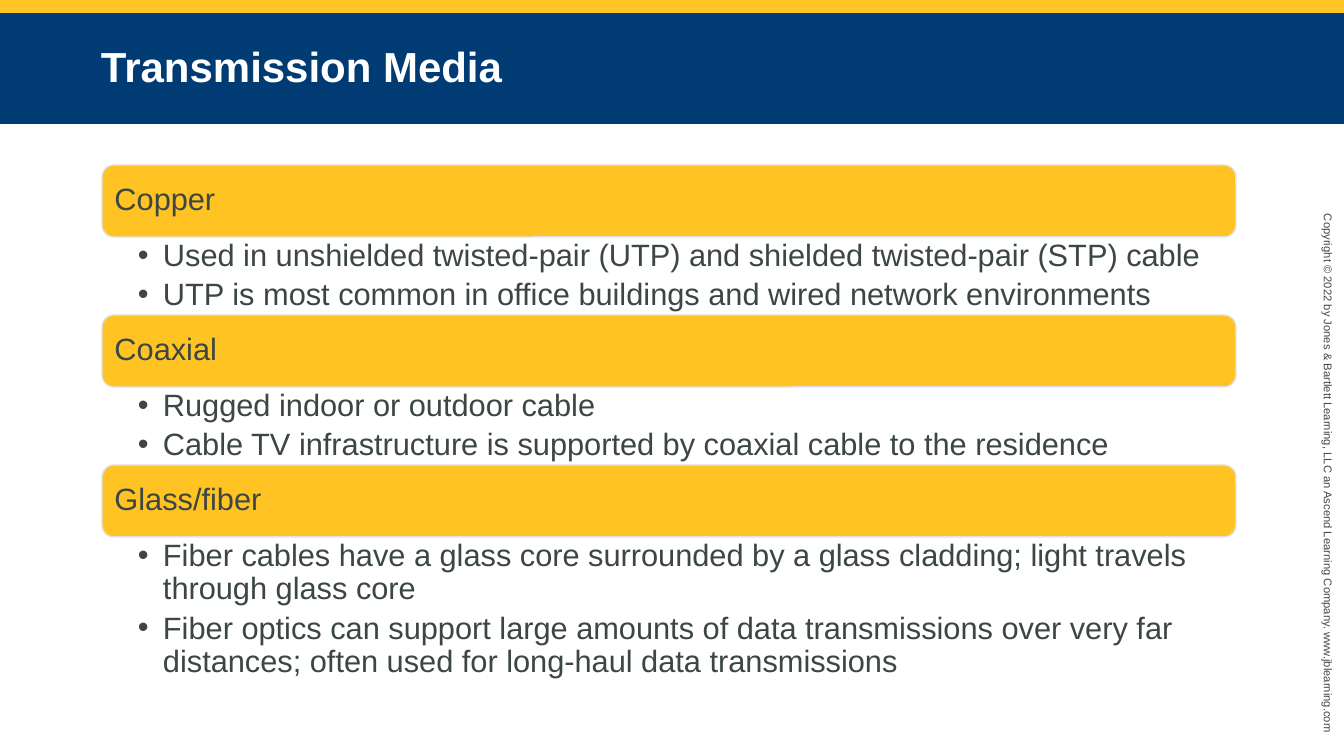
from lxml import etree
from pptx import Presentation
from pptx import util as u
from pptx.dml.color import RGBColor
from pptx.enum import shapes, text
from pptx.oxml.ns import qn

TITLE = "Transmission Media"
COPYRIGHT = ("Copyright © 2022 by Jones & Bartlett Learning, LLC an Ascend "
             "Learning Company. www.jblearning.com")
MEDIA = [
    ("Copper", 78, [
        "Used in unshielded twisted-pair (UTP) and shielded twisted-pair (STP) cable",
        "UTP is most common in office buildings and wired network environments",
    ]),
    ("Coaxial", 78, [
        "Rugged indoor or outdoor cable",
        "Cable TV infrastructure is supported by coaxial cable to the residence",
    ]),
    ("Glass/fiber", 144, [
        "Fiber cables have a glass core surrounded by a glass cladding; "
        "light travels through glass core",
        "Fiber optics can support large amounts of data transmissions over very far "
        "distances; often used for long-haul data transmissions",
    ]),
]

STRIPE_YELLOW = RGBColor(0xFF, 0xC4, 0x25)
BAR_YELLOW = RGBColor(0xFF, 0xC3, 0x24)
BAR_EDGE = RGBColor(0xE1, 0xE1, 0xE1)
NAVY = RGBColor(0x00, 0x3B, 0x74)
WHITE = RGBColor(0xFF, 0xFF, 0xFF)
GREY = RGBColor(0x3C, 0x47, 0x43)

WIDTH, HEIGHT = 1344, 756
STRIPE_HEIGHT, TITLE_HEIGHT = 13, 111
MEDIA_LEFT, MEDIA_TOP, MEDIA_WIDTH, BAR_HEIGHT = 102, 165, 1134, 72
BULLET_INDENT, BULLET_GAP = 25, 6


def px(length):
    return u.Emu(round(length * 914400 / 100.8))


def add_block(slide, kind, box, fill, edge=None):
    shape = slide.shapes.add_shape(kind, *map(px, box))
    shape.shadow.inherit = False
    shape.fill.solid()
    shape.fill.fore_color.rgb = fill
    if edge is None:
        shape.line.fill.background()
    else:
        shape.line.color.rgb = edge
        shape.line.width = u.Pt(1)
    return shape


def add_bullet(paragraph):
    properties = paragraph._p.get_or_add_pPr()
    properties.set("marL", str(px(BULLET_INDENT)))
    properties.set("indent", str(-px(BULLET_INDENT)))
    etree.SubElement(properties, qn("a:buFont")).set("typeface", "Arial")
    etree.SubElement(properties, qn("a:buChar")).set("char", "•")


def write(shape, lines, size, color, insets, spacing=1.0, bold=False,
          anchor=text.MSO_ANCHOR.MIDDLE, bullets=False):
    frame = shape.text_frame
    frame.word_wrap = True
    frame.vertical_anchor = anchor
    frame.margin_left, frame.margin_top, frame.margin_right, frame.margin_bottom = map(px, insets)
    frame.text = "\n".join(lines)
    for paragraph in frame.paragraphs:
        if bullets:
            add_bullet(paragraph)
            paragraph.space_after = px(BULLET_GAP)
        paragraph.alignment = text.PP_ALIGN.LEFT
        paragraph.line_spacing = spacing
        for run in paragraph.runs:
            run.font.name = "Arial"
            run.font.size = u.Pt(size)
            run.font.bold = bold
            run.font.color.rgb = color


def main():
    presentation = Presentation()
    presentation.slide_width, presentation.slide_height = px(WIDTH), px(HEIGHT)
    slide = presentation.slides.add_slide(presentation.slide_layouts[6])
    rectangle = shapes.MSO_SHAPE.RECTANGLE

    add_block(slide, rectangle, (0, 0, WIDTH, STRIPE_HEIGHT), STRIPE_YELLOW)
    copyright_line = slide.shapes.add_textbox(*map(px, (1052, 468, 552, 24)))
    copyright_line.rotation = 90
    write(copyright_line, [COPYRIGHT], 8, GREY, (10, 5, 10, 5), anchor=text.MSO_ANCHOR.TOP)
    title = add_block(slide, rectangle, (0, STRIPE_HEIGHT, WIDTH, TITLE_HEIGHT), NAVY)
    write(title, [TITLE], 30, WHITE, (101, 5, 101, 5), spacing=0.95, bold=True)

    top = MEDIA_TOP
    for name, list_height, facts in MEDIA:
        bar = add_block(slide, shapes.MSO_SHAPE.ROUNDED_RECTANGLE,
                        (MEDIA_LEFT, top, MEDIA_WIDTH, BAR_HEIGHT), BAR_YELLOW, BAR_EDGE)
        write(bar, [name], 22, GREY, (9, 9, 9, 9), spacing=0.9)
        top += BAR_HEIGHT
        fact_list = slide.shapes.add_textbox(*map(px, (MEDIA_LEFT, top, MEDIA_WIDTH, list_height)))
        write(fact_list, facts, 22, GREY, (36, 3, 17, 3), spacing=0.9,
              anchor=text.MSO_ANCHOR.TOP, bullets=True)
        top += list_height

    presentation.save("out.pptx")


if __name__ == "__main__":
    main()
